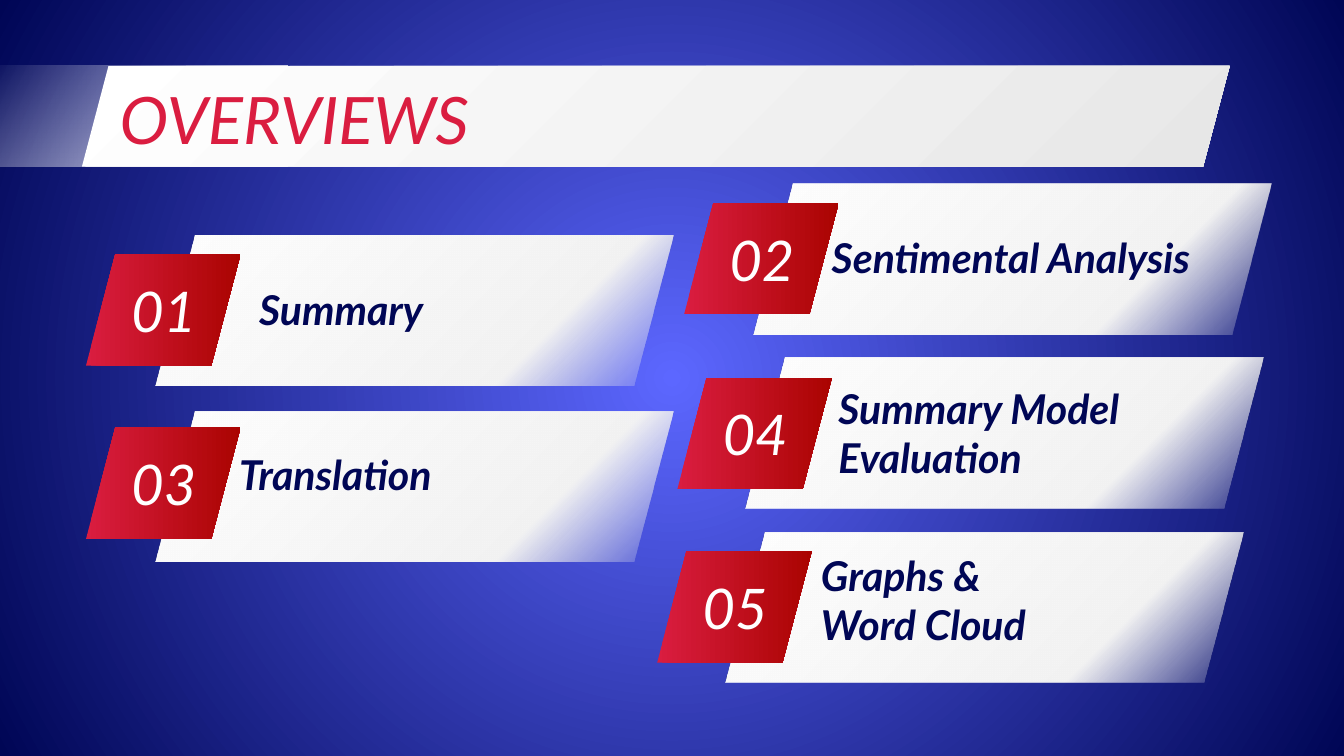
from dataclasses import dataclass

from lxml.etree import SubElement
from pptx import Presentation
from pptx.dml.color import RGBColor
from pptx.dml.fill import FillFormat
from pptx.enum.shapes import MSO_SHAPE as Preset
from pptx.enum.text import MSO_ANCHOR as Anchor, MSO_AUTO_SIZE as AutoSize, PP_ALIGN as Align
from pptx.oxml.ns import qn
from pptx.util import Inches, Pt

FONT = "Lato"
NAVY, RED, WHITE = "000655", "DA1D40", "FFFFFF"
SLIDE_WIDTH = Inches(10)
SLIDE_HEIGHT = SLIDE_WIDTH * 9 // 16
CARD_SIZE, TILE_SIZE, NUMBER_SIZE = (3.85, 1.12), (1.15, 0.83), (0.94, 0.65)
NUMBER_SHIFT = (0.11, 0.09)
SLANT = 0.262


@dataclass(frozen=True)
class Stop:
    position: int
    color: str
    opacity: int = 100


@dataclass(frozen=True)
class Topic:
    number: str
    lines: tuple[str, ...]
    card: tuple[float, float]
    tile: tuple[float, float]
    label: tuple[float, float, float, float]
    anchor: Anchor = Anchor.BOTTOM


BACKDROP = (Stop(0, "5C67FF"), Stop(100, NAVY))
FADE_IN = (Stop(0, WHITE, 0), Stop(100, WHITE))
BANNER = (Stop(0, WHITE), Stop(100, "E7E7E7"))
CARD = (Stop(0, WHITE), Stop(73, "F3F3F3"), Stop(100, "E7E7E7", 4))
TILE = (Stop(0, RED), Stop(100, "AA0401"))

TOPICS = (
    Topic("01", ("Summary",), (1.16, 1.75), (0.64, 1.89), (1.83, 2.02, 2.98, 0.56)),
    Topic("02", ("Sentimental Analysis",), (5.61, 1.37), (5.09, 1.51),
          (6.09, 1.64, 3.55, 0.56)),
    Topic("03", ("Translation",), (1.16, 3.06), (0.64, 3.18), (1.68, 3.25, 3.69, 0.56)),
    Topic("04", ("Summary Model Evaluation",), (5.55, 2.66), (5.04, 2.81),
          (6.14, 2.75, 3.28, 0.94), Anchor.TOP),
    Topic("05", ("Graphs &", "Word Cloud"), (5.4, 3.96), (4.89, 4.1),
          (6.01, 4.37, 3.35, 0.56)),
)


def rgb(color: str) -> RGBColor:
    return RGBColor.from_string(color)


def paint_gradient(fill: FillFormat, stops: tuple[Stop, ...], angle: int | None) -> None:
    """Fill along a clockwise angle, or from the centre outwards when angle is None."""
    fill.solid()
    parent = fill._xPr
    solid = parent.find(qn("a:solidFill"))
    gradient = SubElement(parent, qn("a:gradFill"), rotWithShape="1")
    parent.replace(solid, gradient)
    stop_list = SubElement(gradient, qn("a:gsLst"))
    for stop in stops:
        entry = SubElement(stop_list, qn("a:gs"), pos=str(stop.position * 1000))
        color = SubElement(entry, qn("a:srgbClr"), val=str(rgb(stop.color)))
        if stop.opacity < 100:
            SubElement(color, qn("a:alpha"), val=str(stop.opacity * 1000))
    if angle is None:
        circle = SubElement(gradient, qn("a:path"), path="circle")
        SubElement(circle, qn("a:fillToRect"), l="50000", t="50000", r="50000", b="50000")
    else:
        SubElement(gradient, qn("a:lin"), ang=str(angle * 60000), scaled="0")


def add_panel(slide, box: tuple[float, ...], stops: tuple[Stop, ...], angle: int,
              slant: float = 0) -> None:
    preset = Preset.PARALLELOGRAM if slant else Preset.RECTANGLE
    panel = slide.shapes.add_shape(preset, *map(Inches, box))
    if slant:
        panel.adjustments[0] = slant
    panel.shadow.inherit = False
    panel.line.fill.background()
    paint_gradient(panel.fill, stops, angle)


def write(frame, lines: tuple[str, ...], size: int, color: str, bold: bool = False,
          align: Align = Align.LEFT, anchor: Anchor = Anchor.TOP) -> None:
    frame.word_wrap = True
    frame.auto_size = AutoSize.NONE
    frame.vertical_anchor = anchor
    frame.margin_left = frame.margin_right = Inches(0.1)
    frame.margin_top = frame.margin_bottom = Inches(0.1)
    for index, line in enumerate(lines):
        paragraph = frame.add_paragraph() if index else frame.paragraphs[0]
        paragraph.alignment = align
        run = paragraph.add_run()
        run.text = line
        run.font.name = FONT
        run.font.size = Pt(size)
        run.font.bold = bold
        run.font.italic = True
        run.font.color.rgb = rgb(color)


def add_heading(slide, heading: str) -> None:
    add_panel(slide, (-0.15, 0.49, 2.29, 0.75), FADE_IN, 45)
    add_panel(slide, (0.61, 0.49, 8.54, 0.75), BANNER, 45, 0.264)
    title = slide.shapes.title
    title.left, title.top, title.width, title.height = map(Inches, (0.79, 0.49, 8.43, 0.63))
    write(title.text_frame, (heading,), 35, RED)
    slide.shapes._spTree.append(title._element)  # bring in front of the banner


def add_topic(slide, topic: Topic) -> None:
    number_corner = (topic.tile[0] + NUMBER_SHIFT[0], topic.tile[1] + NUMBER_SHIFT[1])
    add_panel(slide, topic.card + CARD_SIZE, CARD, 45, SLANT)
    add_panel(slide, topic.tile + TILE_SIZE, TILE, 0, SLANT)
    number = slide.shapes.add_textbox(*map(Inches, number_corner + NUMBER_SIZE))
    write(number.text_frame, (topic.number,), 30, WHITE, align=Align.CENTER,
          anchor=Anchor.MIDDLE)
    label = slide.shapes.add_textbox(*map(Inches, topic.label))
    write(label.text_frame, topic.lines, 22, NAVY, bold=True, anchor=topic.anchor)


def main() -> None:
    deck = Presentation()
    deck.slide_width, deck.slide_height = SLIDE_WIDTH, SLIDE_HEIGHT
    slide = deck.slides.add_slide(deck.slide_layouts.get_by_name("Title Only"))
    paint_gradient(slide.background.fill, BACKDROP, None)
    add_heading(slide, "OVERVIEWS")
    for topic in TOPICS:
        add_topic(slide, topic)
    deck.save("out.pptx")


if __name__ == "__main__":
    main()
